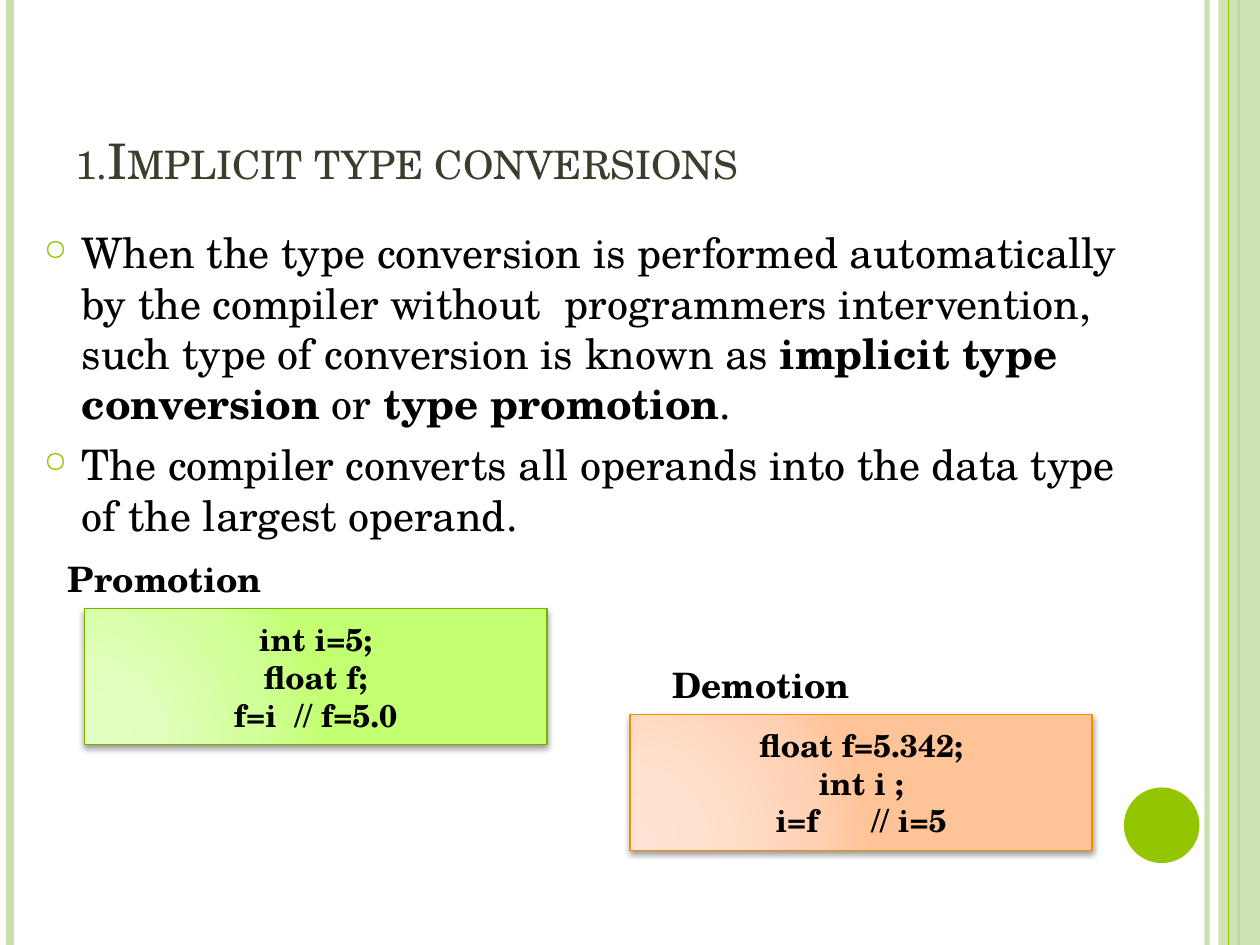
from dataclasses import dataclass

from lxml.etree import SubElement
from pptx import Presentation
from pptx.dml.color import RGBColor
from pptx.enum.shapes import MSO_CONNECTOR, MSO_SHAPE
from pptx.enum.text import MSO_ANCHOR, MSO_AUTO_SIZE, PP_ALIGN
from pptx.oxml.ns import qn
from pptx.util import Inches, Pt

FONT = "TeX Gyre Schola"
BLACK = RGBColor(0x00, 0x00, 0x00)
TITLE = RGBColor(0x3E, 0x3D, 0x2D)
GREEN = RGBColor(0x94, 0xC6, 0x00)
PALE_GREEN = RGBColor(0xC8, 0xDF, 0xAB)
GREEN_EDGE = RGBColor(0x7F, 0xAA, 0x00)
ORANGE_EDGE = RGBColor(0xF7, 0x8D, 0x00)
GREEN_STOPS = tuple(map(RGBColor.from_string, ("E2FFC2", "E0FFBC", "D0FF97", "C2FF71")))
ORANGE_STOPS = tuple(map(RGBColor.from_string, ("FFE3D4", "FFE1CF", "FFD2B5", "FFC398")))
STOP_POSITIONS = (0, 30, 75, 100)


@dataclass
class Stripe:
    x: float
    color: RGBColor
    weight: float
    opacity: int = 100


@dataclass
class Span:
    text: str
    bold: bool = False
    spacing: float = 0


@dataclass
class Entry:
    spans: list[Span]
    size: float = 24
    before: float = 6
    indent: float = 0.3
    bullet: bool = True


@dataclass
class CodeBox:
    left: float
    top: float
    edge: RGBColor
    stops: tuple[RGBColor, ...]
    lines: list[list[Span]]


def add_node(parent, tag: str, **attributes):
    return SubElement(parent, qn(tag), {name: str(value) for name, value in attributes.items()})


def add_color(parent, color: RGBColor, opacity: int = 100) -> None:
    node = add_node(parent, "a:srgbClr", val=color)
    if opacity < 100:
        add_node(node, "a:alpha", val=opacity * 1000)


def set_opacity(properties, opacity: int) -> None:
    color = properties.find(".//" + qn("a:srgbClr"))
    add_node(color, "a:alpha", val=opacity * 1000)


def write_spans(para, spans: list[Span], size: float) -> None:
    for item in spans:
        span = para.add_run()
        span.text = item.text
        span.font.name, span.font.size, span.font.bold = FONT, Pt(size), item.bold
        span.font.color.rgb = BLACK
        if item.spacing:
            span.font._element.set("spc", str(int(item.spacing * 100)))


def add_stripe(page, stripe: Stripe) -> None:
    x = Inches(stripe.x)
    line = page.shapes.add_connector(MSO_CONNECTOR.STRAIGHT, x, 0, x, Inches(7.5))
    line.line.color.rgb = stripe.color
    line.line.width = Pt(stripe.weight)
    properties = line._element.spPr
    if stripe.opacity < 100:
        set_opacity(properties, stripe.opacity)
    add_node(properties, "a:effectLst")


def add_plain(page, kind, left: float, top: float, width: float, height: float, color: RGBColor):
    shape = page.shapes.add_shape(kind, Inches(left), Inches(top), Inches(width), Inches(height))
    shape.shadow.inherit = False
    shape.fill.solid()
    shape.fill.fore_color.rgb = color
    shape.line.fill.background()
    return shape


def write_title(page, text: str) -> None:
    title = page.shapes.title
    title.left, title.top, title.width, title.height = map(Inches, (0.5, 0.3, 8.17, 1.25))
    frame = title.text_frame
    frame.text = text
    frame.word_wrap = True
    frame.auto_size = MSO_AUTO_SIZE.NONE
    frame.vertical_anchor = MSO_ANCHOR.BOTTOM
    para = frame.paragraphs[0]
    para.alignment = PP_ALIGN.LEFT
    font = para.runs[0].font
    font.name, font.size, font.color.rgb = FONT, Pt(28), TITLE
    font._element.set("cap", "small")


def add_body(page, entries: list[Entry]) -> None:
    box = page.shapes.add_textbox(Inches(0.25), Inches(1.75), Inches(8.75), Inches(5.33))
    frame = box.text_frame
    frame.word_wrap = True
    for index, entry in enumerate(entries):
        para = frame.add_paragraph() if index else frame.paragraphs[0]
        para.space_before = Pt(entry.before)
        properties = para._p.get_or_add_pPr()
        properties.set("marL", str(Inches(entry.indent)))
        if entry.bullet:
            properties.set("indent", str(-Inches(entry.indent)))
            add_color(add_node(properties, "a:buClr"), GREEN)
            add_node(properties, "a:buSzPct", val=70000)
            add_node(properties, "a:buChar", char="○")
        write_spans(para, entry.spans, entry.size)


def add_code_box(page, code: CodeBox) -> None:
    box = add_plain(page, MSO_SHAPE.RECTANGLE, code.left, code.top, 3.67, 1.08, code.stops[-1])
    box.line.color.rgb = code.edge
    box.line.width = Pt(1)
    properties = box._element.spPr
    gradient = add_node(properties, "a:gradFill", rotWithShape=1)
    stops = add_node(gradient, "a:gsLst")
    for position, color in zip(STOP_POSITIONS, code.stops):
        add_color(add_node(stops, "a:gs", pos=position * 1000), color)
    focus = add_node(gradient, "a:path", path="circle")
    add_node(focus, "a:fillToRect", l=5000, t=100000, r=120000, b=10000)
    properties.replace(properties.find(qn("a:solidFill")), gradient)
    effects = properties.find(qn("a:effectLst"))
    shadow = add_node(effects, "a:outerShdw", blurRad=Pt(4), dist=Pt(2), dir=90 * 60000, rotWithShape=0)
    add_color(shadow, BLACK, 40)
    frame = box.text_frame
    frame.word_wrap = True
    frame.vertical_anchor = MSO_ANCHOR.MIDDLE
    for index, spans in enumerate(code.lines):
        para = frame.add_paragraph() if index else frame.paragraphs[0]
        para.alignment = PP_ALIGN.CENTER
        write_spans(para, spans, 18)


def code_line(statement: str, comment: str = "", gap: float = 0) -> list[Span]:
    spans = [Span(statement, True)]
    if comment:
        spans += [Span(" ", True, gap), Span(comment, True)]
    return spans


STRIPES = [
    Stripe(9.58, PALE_GREEN, 3, 93),
    Stripe(0.08, PALE_GREEN, 4.5),
    Stripe(9.83, GREEN, 1.5),
]
ENTRIES = [
    Entry([
        Span("When the type conversion is performed automatically by the compiler without "
             " programmers intervention, such type of conversion is known as "),
        Span("implicit type conversion", True),
        Span(" or "),
        Span("type promotion", True),
        Span("."),
    ]),
    Entry([Span("The compiler converts all operands into the data type of the largest operand.")]),
    Entry([Span("Promotion", True)], size=20, before=10, indent=0.19, bullet=False),
    Entry([Span("Demotion", True)], size=20, before=37, indent=4.99, bullet=False),
]
CODE_BOXES = [
    CodeBox(0.67, 4.83, GREEN_EDGE, GREEN_STOPS, [
        code_line("int i=5;"), code_line("float f;"), code_line("f=i", "// f=5.0", 5)]),
    CodeBox(5, 5.67, ORANGE_EDGE, ORANGE_STOPS, [
        code_line("float f=5.342;"), code_line("int i ;"), code_line("i=f", "// i=5", 25)]),
]

deck = Presentation()
deck.slide_width, deck.slide_height = Inches(10), Inches(7.5)
page = deck.slides.add_slide(deck.slide_layouts[5])
for stripe in STRIPES:
    add_stripe(page, stripe)
band = add_plain(page, MSO_SHAPE.RECTANGLE, 9.67, 0, 0.33, 7.5, PALE_GREEN)
set_opacity(band._element.spPr, 87)
add_stripe(page, Stripe(9.75, GREEN, 0.75))
add_plain(page, MSO_SHAPE.OVAL, 8.92, 6.25, 0.6, 0.6, GREEN)
write_title(page, "1.Implicit type conversions")
add_body(page, ENTRIES)
for code in CODE_BOXES:
    add_code_box(page, code)
deck.save("out.pptx")
